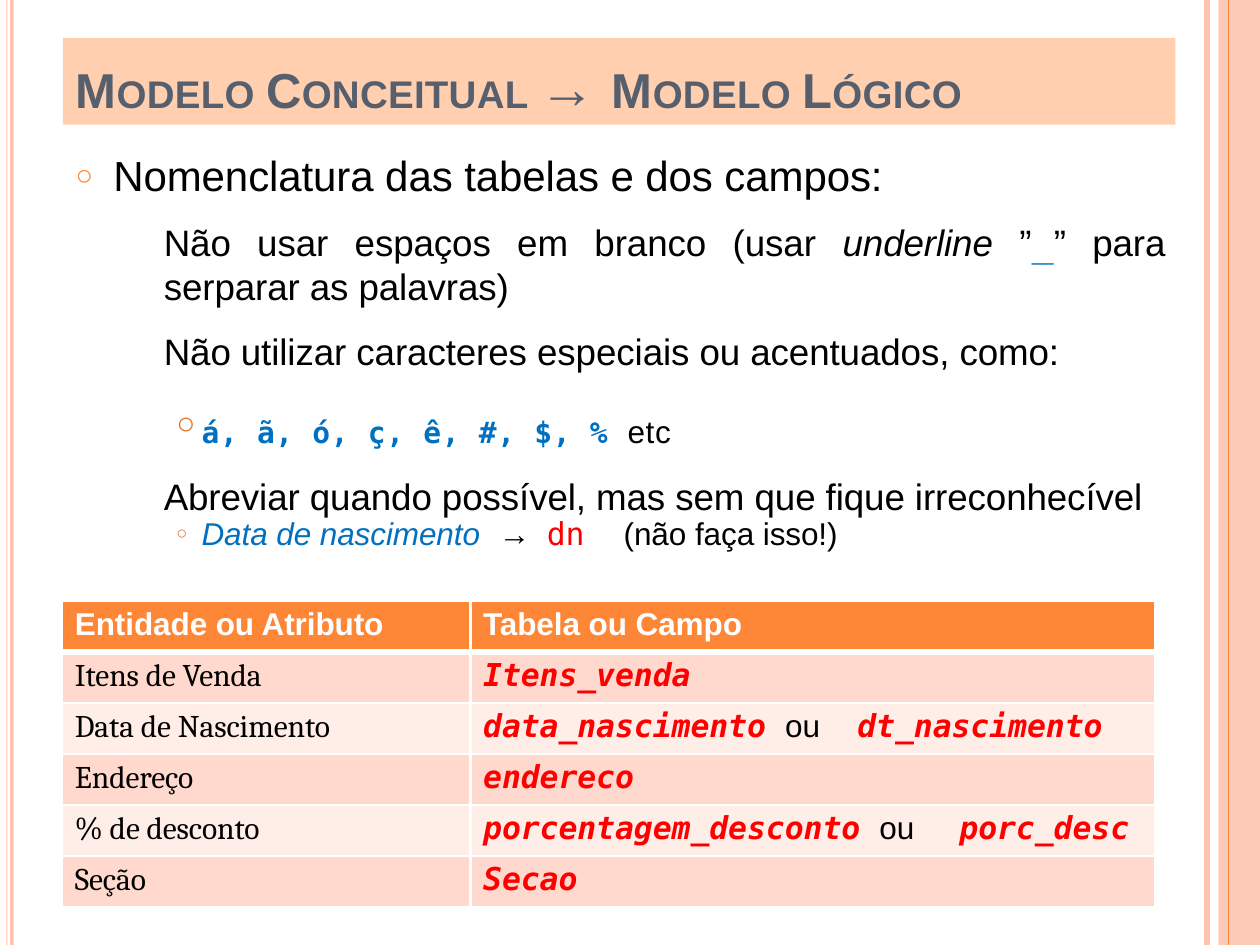
from collections import namedtuple

from lxml.etree import SubElement
from pptx import Presentation
from pptx.dml.color import RGBColor
from pptx.enum.shapes import MSO_CONNECTOR as Connector, MSO_SHAPE as Shape
from pptx.enum.text import MSO_ANCHOR as Anchor, PP_ALIGN as Align
from pptx.oxml.ns import qn
from pptx.util import Inches, Pt

Box = namedtuple("Box", "left top width height")
Span = namedtuple("Span", "text size font color bold italic raised",
                  defaults=(18, "Arial", "000000", False, False, False))
WIDTH, HEIGHT = Inches(10), Inches(7.5)
MONO, SERIF = "DejaVu Sans Mono", "Cambria"
PINK, ORANGE, RUST, BLUE, RED, WHITE = "FEC3AE", "FE8637", "E0752F", "0070C0", "FF0000", "FFFFFF"


def share(left, top, width, height):
    """Turn percentages of the slide into a box of lengths."""
    return Box(int(WIDTH * left / 100), int(HEIGHT * top / 100),
               int(WIDTH * width / 100), int(HEIGHT * height / 100))


def color(value):
    """Make a colour from a hex string."""
    return RGBColor.from_string(value)


def paint(item, value):
    """Give a shape or a cell a solid fill."""
    item.fill.solid()
    item.fill.fore_color.rgb = color(value)


def add_rectangle(page, box, value):
    """Add a plain rectangle without line or shadow."""
    shape = page.shapes.add_shape(Shape.RECTANGLE, *box)
    shape.shadow.inherit = False
    shape.line.fill.background()
    paint(shape, value)
    return shape


def add_rule(page, box, value, weight):
    """Add a vertical line along the left side of a box."""
    rule = page.shapes.add_connector(Connector.STRAIGHT, box.left, box.top,
                                     box.left, box.top + box.height)
    rule.line.color.rgb = color(value)
    rule.line.width = Pt(weight)
    SubElement(rule._element.spPr, qn("a:effectLst"))


def set_insets(frame, top=0.0):
    """Set the inner margins of a text frame, none but at the top."""
    frame.word_wrap = True
    frame.vertical_anchor = Anchor.TOP
    frame.margin_left = frame.margin_right = frame.margin_bottom = 0
    frame.margin_top = Inches(top)


def write(para, spans, before=1, margin=0.0, hang=0.0, bullet=None, tabs=(),
          tracking=-0.05, align=Align.LEFT):
    """Fill a paragraph with its spans, indents, bullet and tab stops."""
    para.space_before = Pt(before)
    para.alignment = align
    props = para._p.get_or_add_pPr()
    props.set("marL", str(Inches(margin)))
    if bullet:
        tint, percent = bullet
        props.set("indent", str(Inches(-hang)))
        SubElement(SubElement(props, qn("a:buClr")), qn("a:srgbClr"), val=tint)
        SubElement(props, qn("a:buSzPct"), val=str(percent * 1000))
        SubElement(props, qn("a:buFont"), typeface="Arial")
        SubElement(props, qn("a:buChar"), char="○")
    if tabs:
        stops = SubElement(props, qn("a:tabLst"))
        for stop in tabs:
            SubElement(stops, qn("a:tab"), pos=str(Inches(stop)), algn="l")
    for span in spans:
        run = para.add_run()
        run.text = span.text
        run.font.size, run.font.name = Pt(span.size), span.font
        run.font.bold, run.font.italic = span.bold, span.italic
        run.font.color.rgb = color(span.color)
        run._r.rPr.set("spc", str(round(tracking * 100)))
        if span.raised:
            run._r.rPr.set("baseline", "1000")


def add_text(page, box, top, *paragraphs):
    """Add a text box; each paragraph is its spans and its options."""
    frame = page.shapes.add_textbox(*box).text_frame
    set_insets(frame, top)
    for index, (spans, options) in enumerate(paragraphs):
        para = frame.add_paragraph() if index else frame.paragraphs[0]
        write(para, spans, **options)


def add_side_bands(page):
    """Draw the bands and rules at both edges of the slide."""
    add_rule(page, share(95.8, 0, 0, 100), PINK, 3)
    for left, width in ((0.5, 0.1), (0.8, 0.3)):
        add_rectangle(page, share(left, 0, width, 100), PINK)
    band = add_rectangle(page, share(96.7, 0, 3.3, 100), PINK)
    tint = band._element.spPr.find(qn("a:solidFill"))[0]
    SubElement(tint, qn("a:alpha"), val="87000")
    add_rule(page, share(97.5, 0, 0, 100), ORANGE, 0.75)


def add_title(page, box):
    """Write the title in small capitals on its coloured bar."""
    frame = add_rectangle(page, box, "FFCFAF").text_frame
    set_insets(frame, 0.12)
    pieces = (("M", 28), ("ODELO ", 22), ("C", 28), ("ONCEITUAL ", 22), ("→ ", 32),
              ("M", 28), ("ODELO ", 22), ("L", 28), ("ÓGICO", 22))
    spans = [Span(text, size, color="575F6D", bold=True) for text, size in pieces]
    write(frame.paragraphs[0], spans, before=6.9, margin=0.1, tracking=0.2)


def add_naming_rules(page):
    """Write the naming rules and their examples."""
    add_text(page, share(5.9, 15.73, 64.7, 5.73), 0.01,
             ([Span("Nomenclatura das tabelas e dos campos:", 24)],
              dict(margin=0.31, hang=0.3, bullet=(ORANGE, 69))))
    add_text(page, share(9.9, 23.07, 82.6, 9.46), 0.01,
             ([Span("Não usar espaços em branco (usar ", 21),
               Span("underline ", 21, italic=True), Span("”", 21),
               Span("_", 21, MONO, BLUE), Span("” para serparar as palavras)", 21)],
              dict(margin=0.31, align=Align.JUSTIFY)))
    add_text(page, share(9.9, 32.53, 81.3, 20.13), 0.17,
             ([Span("Não utilizar caracteres especiais ou acentuados, como:", 21)],
              dict(before=11.2, margin=0.31)),
             ([Span("á, ã, ó, ç, ê, #, $, % ", 29.2, MONO, BLUE, bold=True, raised=True),
               Span("etc")],
              dict(before=11.3, margin=0.61, hang=0.2, bullet=(RUST, 62), tracking=0.4)),
             ([Span("Abreviar quando possível, mas sem que fique irreconhecível", 21)],
              dict(before=11.1, margin=0.31)))
    add_text(page, share(13.9, 54.27, 52.8, 4.4), 0.01,
             ([Span("Data de nascimento\t", color=BLUE, italic=True),
               Span("→\t", italic=True), Span("dn\t", font=MONO, color=RED),
               Span("(não faça isso!)")],
              dict(margin=0.21, hang=0.2, bullet=(RUST, 58), tabs=(0.21, 2.57, 2.95, 3.56))))


def set_borders(cell, **weights):
    """Draw white borders around a cell."""
    props = cell._tc.get_or_add_tcPr()
    for index, side in enumerate(("lnL", "lnR", "lnT", "lnB")):
        line = props.makeelement(qn("a:" + side), {"w": str(Pt(weights.get(side, 1.5)))})
        SubElement(SubElement(line, qn("a:solidFill")), qn("a:srgbClr"), val=WHITE)
        props.insert(index, line)


def code(text):
    """Make a span for a table or field name."""
    return Span(text, font=MONO, color=RED, bold=True, italic=True)


def add_name_table(page, box):
    """Add the table that pairs each entity with its field name."""
    names = (("Itens de Venda", [code("Itens_venda")], ()),
             ("Data de Nascimento",
              [code("data_nascimento "), Span("ou\t"), code("dt_nascimento")], (2.97,)),
             ("Endereço", [code("endereco")], ()),
             ("% de desconto",
              [code("porcentagem_desconto "), Span("ou\t"), code("porc_desc")], (3.78,)),
             ("Seção", [code("Secao")], ()))
    header = [([Span(text, color=WHITE, bold=True)], ())
              for text in ("Entidade ou Atributo", "Tabela ou Campo")]
    rows = [header] + [[([Span(entity, font=SERIF)], ()), (spans, tabs)]
                       for entity, spans, tabs in names]
    table = page.shapes.add_table(len(rows), 2, *box).table
    table.columns[0].width = Inches(3.24)
    table.columns[1].width = box.width - Inches(3.24)
    for r, row in enumerate(rows):
        fill = ("FFD9CE" if r % 2 else "FFEDE8") if r else ORANGE
        edges = {0: {"lnB": 4.25}, 1: {"lnT": 4.25}}.get(r, {})
        for c, (spans, tabs) in enumerate(row):
            cell = table.cell(r, c)
            cell.margin_left = cell.margin_right = cell.margin_bottom = 0
            cell.margin_top = Inches(0.04 if r and c else 0.05)
            paint(cell, fill)
            set_borders(cell, **edges)
            write(cell.text_frame.paragraphs[0], spans, before=2.8 if r and c else 3.2,
                  margin=0.1, tabs=tabs)


def main():
    """Build the slide and save it."""
    deck = Presentation()
    deck.slide_width, deck.slide_height = WIDTH, HEIGHT
    page = deck.slides.add_slide(deck.slide_layouts[6])
    add_side_bands(page)
    add_title(page, share(5, 4, 88.3, 9.2))
    add_naming_rules(page)
    add_name_table(page, share(4.95, 63.6, 86.7, 32.4))
    deck.save("out.pptx")


if __name__ == "__main__":
    main()
